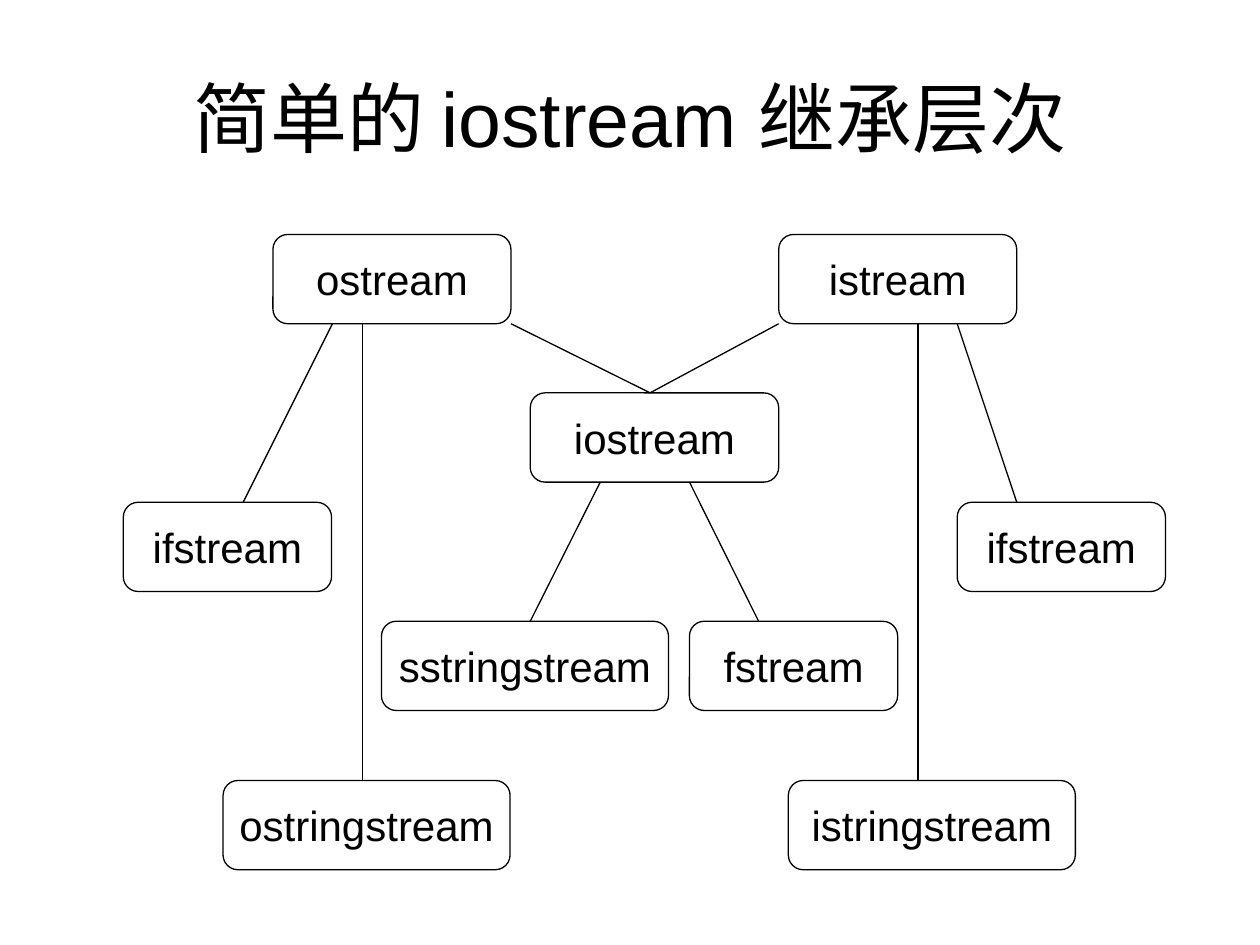
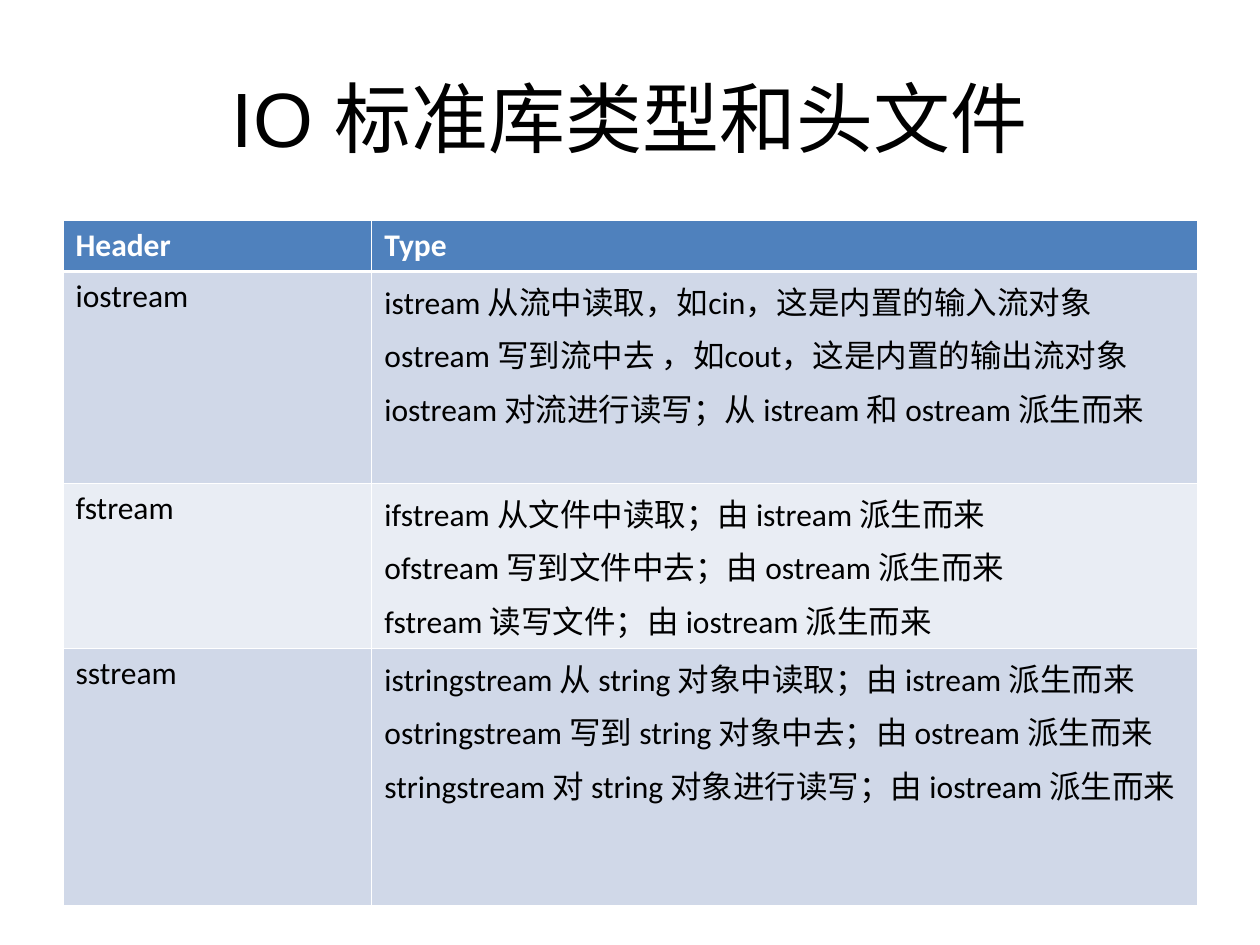
"""Build two slides on the C++ stream classes: a hierarchy and a header table."""
from typing import NamedTuple

from lxml import etree
from pptx import Presentation
from pptx import util as u
from pptx.dml.color import RGBColor
from pptx.enum import shapes, text
from pptx.oxml import ns

Pt = u.Pt
BLACK = RGBColor(0x00, 0x00, 0x00)
WHITE = RGBColor(0xFF, 0xFF, 0xFF)
HEADER_BLUE = RGBColor(0x4F, 0x81, 0xBD)
BAND_DARK = RGBColor(0xD0, 0xD8, 0xE8)
BAND_LIGHT = RGBColor(0xE9, 0xED, 0xF4)

TITLE_FONT = "Arial"
TABLE_FONT = "Calibri"
BOX_HEIGHT = 51
LINE_WIDTH = 0.75
THIN_BORDER, THICK_BORDER = 0.45, 1.47
TITLE_ONLY_LAYOUT = 5


class StreamBox(NamedTuple):
    name: str
    left: float
    top: float
    width: float


class Inheritance(NamedTuple):
    base: StreamBox
    derived: StreamBox
    base_x: float
    derived_x: float


class HeaderRow(NamedTuple):
    header: str
    types: list[str]
    height: float
    fill: RGBColor


BASE_TOP, BOTH_TOP, FILE_TOP, STRING_TOP, LEAF_TOP = 134, 224.5, 287, 355, 446
BASE_WIDTH, BOTH_WIDTH, FILE_WIDTH, STRING_WIDTH = 136, 142, 119, 164

OSTREAM = StreamBox("ostream", 156, BASE_TOP, BASE_WIDTH)
ISTREAM = StreamBox("istream", 445, BASE_TOP, BASE_WIDTH)
IOSTREAM = StreamBox("iostream", 303, BOTH_TOP, BOTH_WIDTH)
LEFT_FILE = StreamBox("ifstream", 70.5, FILE_TOP, FILE_WIDTH)
RIGHT_FILE = StreamBox("ifstream", 547, FILE_TOP, FILE_WIDTH)
SSTRINGSTREAM = StreamBox("sstringstream", 218, STRING_TOP, STRING_WIDTH)
FSTREAM = StreamBox("fstream", 394, STRING_TOP, FILE_WIDTH)
OSTRINGSTREAM = StreamBox("ostringstream", 127.5, LEAF_TOP, STRING_WIDTH)
ISTRINGSTREAM = StreamBox("istringstream", 450.5, LEAF_TOP, STRING_WIDTH)
STREAM_BOXES = [
    OSTREAM, ISTREAM, IOSTREAM, LEFT_FILE, RIGHT_FILE,
    SSTRINGSTREAM, FSTREAM, OSTRINGSTREAM, ISTRINGSTREAM,
]

INHERITANCES = [
    Inheritance(OSTREAM, LEFT_FILE, 190, 139),
    Inheritance(OSTREAM, OSTRINGSTREAM, 207, 207),
    Inheritance(OSTREAM, IOSTREAM, 292, 371.5),
    Inheritance(ISTREAM, IOSTREAM, 445, 371.5),
    Inheritance(ISTREAM, RIGHT_FILE, 547, 581),
    Inheritance(ISTREAM, ISTRINGSTREAM, 524.5, 524.5),
    Inheritance(IOSTREAM, SSTRINGSTREAM, 343, 303),
    Inheritance(IOSTREAM, FSTREAM, 394, 433.5),
]

COLUMN_WIDTHS = [176.5, 471.5]
HEADER_ROWS = [
    HeaderRow("Header", ["Type"], 29.2, HEADER_BLUE),
    HeaderRow("iostream", [
        "istream 从流中读取，如cin，这是内置的输入流对象",
        "ostream 写到流中去 ，如cout，这是内置的输出流对象",
        "iostream 对流进行读写；从 istream 和 ostream 派生而来",
    ], 121, BAND_DARK),
    HeaderRow("fstream", [
        "ifstream 从文件中读取；由 istream 派生而来",
        "ofstream 写到文件中去；由 ostream 派生而来",
        "fstream 读写文件；由 iostream 派生而来",
    ], 94, BAND_LIGHT),
    HeaderRow("sstream", [
        "istringstream 从 string 对象中读取；由 istream 派生而来",
        "ostringstream 写到 string 对象中去；由 ostream 派生而来",
        "stringstream 对 string 对象进行读写；由 iostream 派生而来",
    ], 147, BAND_DARK),
]


def style_para(para, font_name: str, size: float, color: RGBColor, bold: bool = False) -> None:
    para.font.name = font_name
    para.font.size = Pt(size)
    para.font.bold = bold
    para.font.color.rgb = color


def add_titled_page(deck, title: str):
    page = deck.slides.add_slide(deck.slide_layouts[TITLE_ONLY_LAYOUT])
    box = page.shapes.title
    box.left, box.top, box.width, box.height = Pt(36), Pt(21.6), Pt(648), Pt(90)
    frame = box.text_frame
    frame.text = title
    frame.vertical_anchor = text.MSO_ANCHOR.MIDDLE
    para = frame.paragraphs[0]
    para.alignment = text.PP_ALIGN.CENTER
    style_para(para, TITLE_FONT, 44, BLACK)
    return page


def draw_stream_box(page, stream: StreamBox) -> None:
    box = page.shapes.add_shape(
        shapes.MSO_SHAPE.FLOWCHART_ALTERNATE_PROCESS,
        Pt(stream.left), Pt(stream.top), Pt(stream.width), Pt(BOX_HEIGHT),
    )
    box.shadow.inherit = False
    box.fill.background()
    box.line.color.rgb = BLACK
    box.line.width = Pt(LINE_WIDTH)
    frame = box.text_frame
    frame.word_wrap = False
    frame.vertical_anchor = text.MSO_ANCHOR.MIDDLE
    frame.text = stream.name
    para = frame.paragraphs[0]
    para.alignment = text.PP_ALIGN.CENTER
    style_para(para, TITLE_FONT, 24, BLACK)


def draw_inheritance(page, link: Inheritance) -> None:
    line = page.shapes.add_connector(
        shapes.MSO_CONNECTOR.STRAIGHT,
        Pt(link.base_x), Pt(link.base.top + BOX_HEIGHT),
        Pt(link.derived_x), Pt(link.derived.top),
    )
    line.line.color.rgb = BLACK
    line.line.width = Pt(LINE_WIDTH)
    etree.SubElement(line._element.spPr, ns.qn("a:effectLst"))


def set_borders(cell, top: float, bottom: float) -> None:
    properties = cell._tc.get_or_add_tcPr()
    widths = {"L": THIN_BORDER, "R": THIN_BORDER, "T": top, "B": bottom}
    for side, width in widths.items():
        border = etree.SubElement(properties, ns.qn(f"a:ln{side}"), w=str(Pt(width)))
        fill = etree.SubElement(border, ns.qn("a:solidFill"))
        etree.SubElement(fill, ns.qn("a:srgbClr"), val=str(WHITE))


def fill_cell(cell, lines: list[str], row_index: int, fill: RGBColor) -> None:
    is_header = row_index == 0
    set_borders(
        cell,
        top=THICK_BORDER if row_index == 1 else THIN_BORDER,
        bottom=THICK_BORDER if is_header else THIN_BORDER,
    )
    cell.fill.solid()
    cell.fill.fore_color.rgb = fill
    cell.text = "\n".join(lines)
    for index, para in enumerate(cell.text_frame.paragraphs):
        if index:
            para.space_before = Pt(4.5)
        style_para(para, TABLE_FONT, 18, WHITE if is_header else BLACK, is_header)


def draw_header_table(page, rows: list[HeaderRow]) -> None:
    table = page.shapes.add_table(
        len(rows), len(COLUMN_WIDTHS), Pt(36), Pt(126),
        Pt(sum(COLUMN_WIDTHS)), Pt(sum(row.height for row in rows)),
    ).table
    table.horz_banding = False
    for column, width in zip(table.columns, COLUMN_WIDTHS):
        column.width = Pt(width)
    for index, row in enumerate(rows):
        table.rows[index].height = Pt(row.height)
        for column, lines in enumerate([[row.header], row.types]):
            fill_cell(table.cell(index, column), lines, index, row.fill)


def main() -> None:
    deck = Presentation()
    deck.slide_width, deck.slide_height = Pt(720), Pt(540)

    hierarchy = add_titled_page(deck, "简单的 iostream 继承层次")
    for stream in STREAM_BOXES:
        draw_stream_box(hierarchy, stream)
    for link in INHERITANCES:
        draw_inheritance(hierarchy, link)

    headers = add_titled_page(deck, "IO 标准库类型和头文件")
    draw_header_table(headers, HEADER_ROWS)

    deck.save("out.pptx")


if __name__ == "__main__":
    main()
